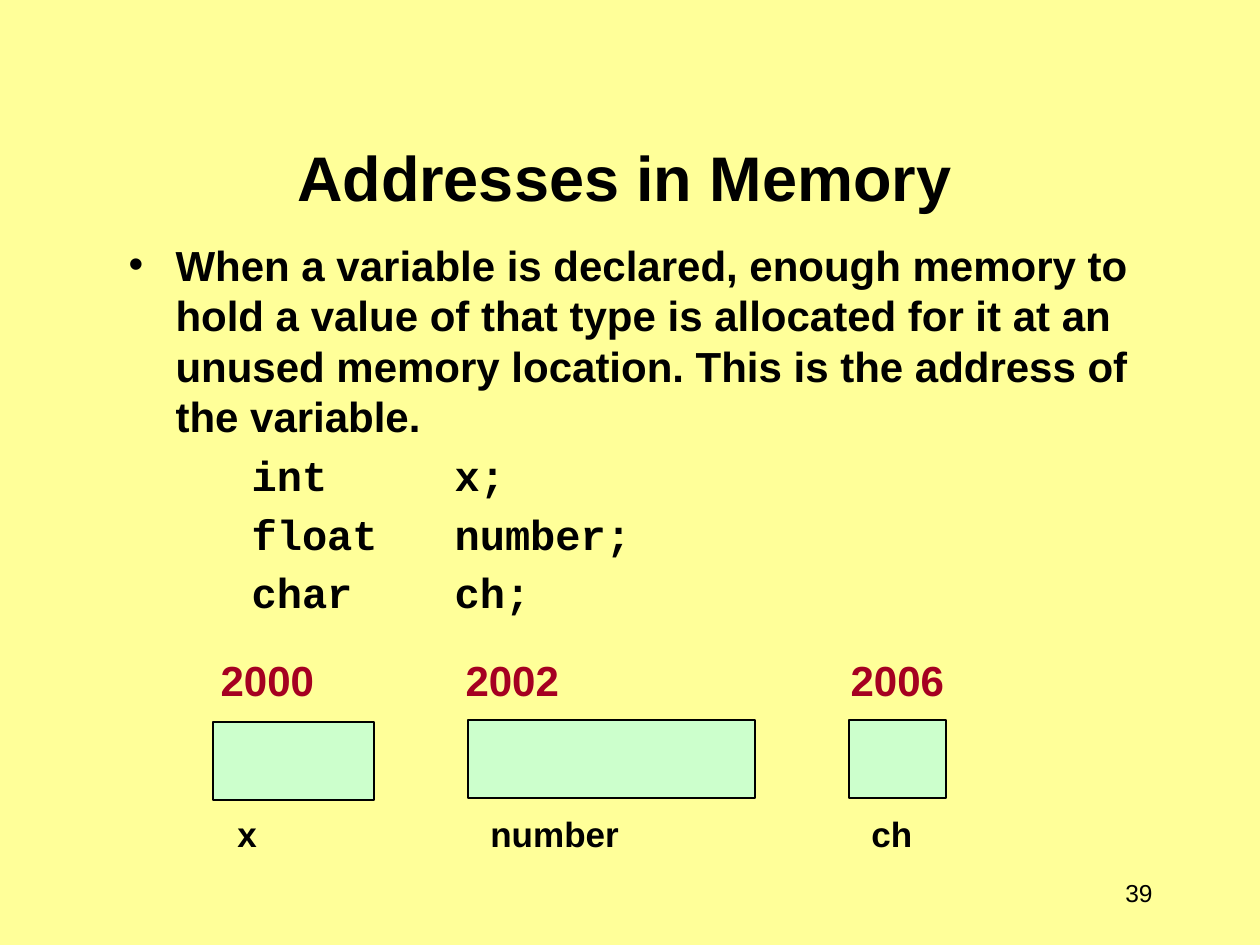
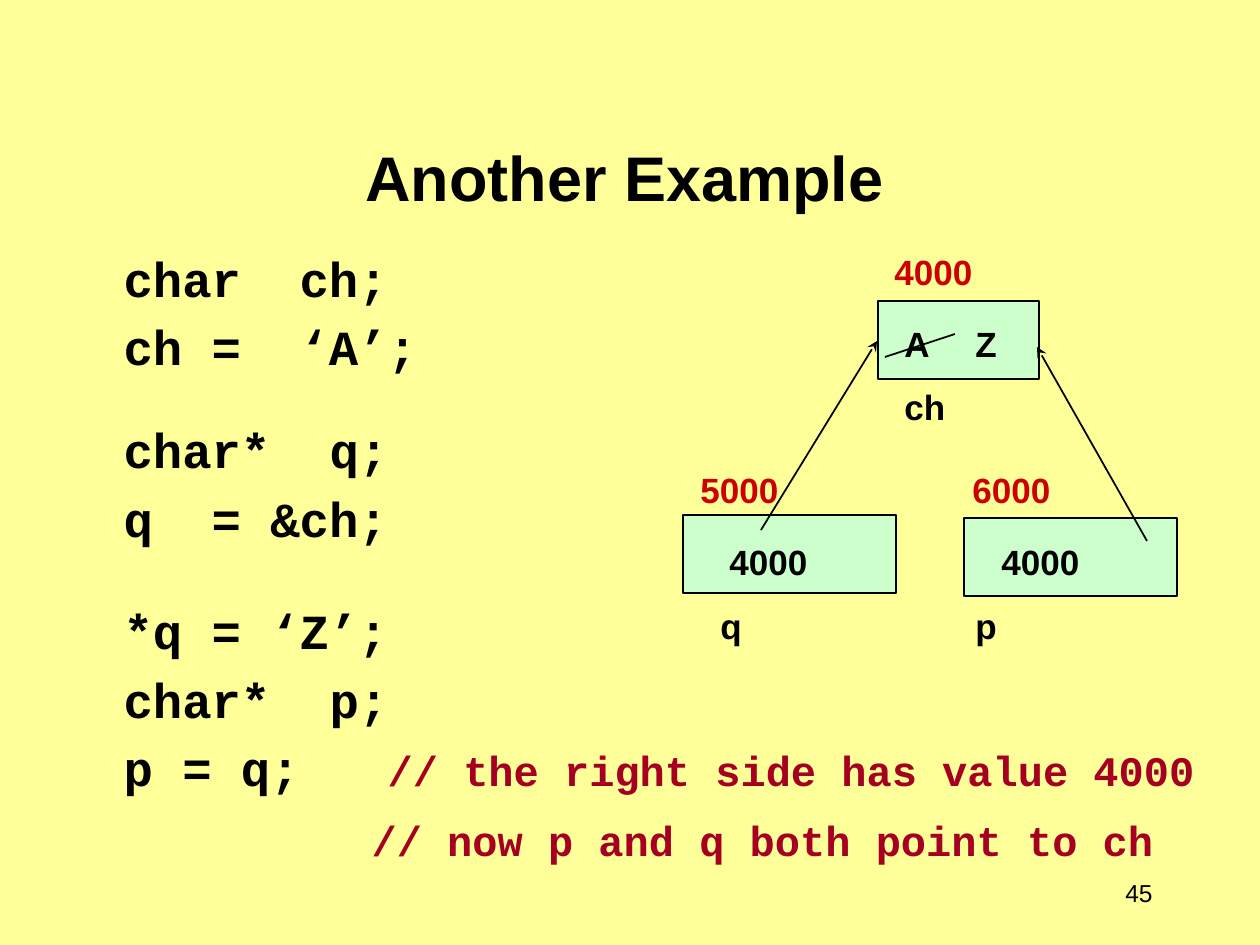
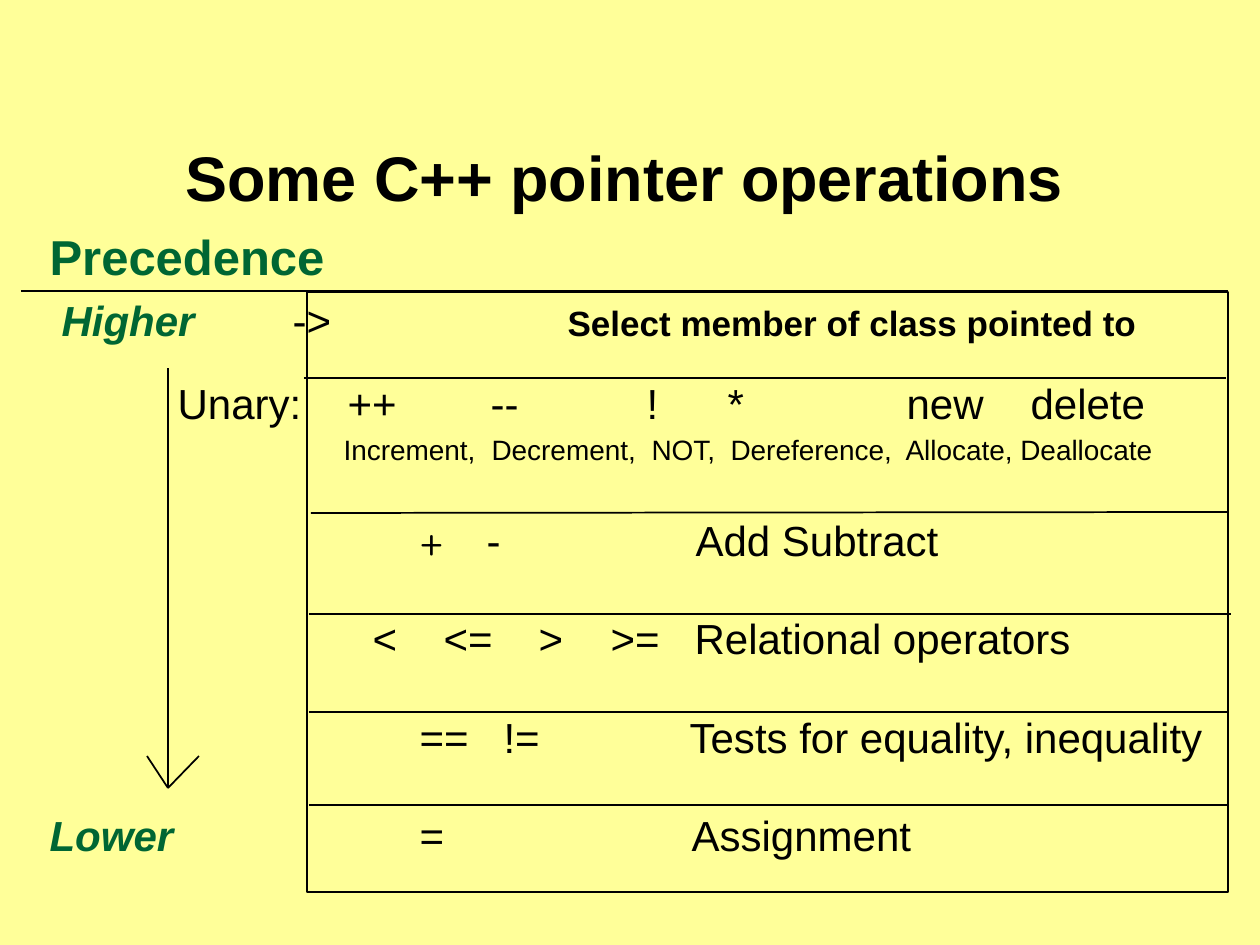
"""Build three slides on memory addresses and pointers."""
from dataclasses import dataclass
from typing import Optional

import pptx
import pptx.dml.color
import pptx.enum.shapes
import pptx.enum.text
import pptx.oxml
import pptx.oxml.ns
import pptx.util
from lxml import etree

SCALE = 914400 / 126  # EMU to one pixel
ANCHOR = pptx.enum.text.MSO_ANCHOR
ALIGN = pptx.enum.text.PP_ALIGN


@dataclass(frozen=True)
class Theme:
    """Colours, fonts and type sizes of the deck."""
    page: str = "FFFF99"
    ink: str = "000000"
    cell: str = "CCFFCC"
    wine: str = "A50021"
    red: str = "CC0000"
    green: str = "006633"
    sans: str = "Arial"
    mono: str = "Courier New"
    plus: str = "Quicksand"
    head: int = 36
    big: int = 28
    main: int = 24
    label: int = 20
    small: int = 16
    foot: int = 14
    pitch: float = 1.2
    rule: float = 1


THEME = Theme()


@dataclass(frozen=True)
class Box:
    """A frame in pixels."""
    left: int
    top: int
    width: int
    height: int


@dataclass(frozen=True)
class Run:
    """Text with what differs from its line."""
    text: str
    hue: Optional[str] = None
    size: Optional[int] = None
    face: Optional[str] = None
    bold: Optional[bool] = None
    slant: Optional[bool] = None


@dataclass(frozen=True)
class Line:
    """A paragraph: its runs, the gap above and its tab stops in pixels."""
    runs: tuple[Run, ...]
    gap: int = 0
    stops: tuple[int, ...] = ()
    size: int = THEME.main
    hue: str = THEME.ink
    face: str = THEME.sans
    bold: bool = True
    bullet: bool = False


@dataclass(frozen=True)
class Link:
    """A straight line in pixels."""
    ends: tuple[int, int, int, int]
    arrow: bool = False


def px(length: float) -> pptx.util.Emu:
    """Turn pixels into EMU."""
    return pptx.util.Emu(round(length * SCALE))


def say(text: str, **style) -> Line:
    """Make a line of one run."""
    return Line((Run(text),), **style)


def code(text: str, gap: int, *stops: int) -> Line:
    """Make a line of large code."""
    return say(text, gap=gap, stops=stops, size=THEME.big, face=THEME.mono)


def note(text: str, gap: int, *stops: int, hue: str = THEME.ink) -> Line:
    """Make a line of labels for a drawing."""
    return say(text, gap=gap, stops=stops, size=THEME.label, hue=hue)


def row(text: str, gap: int, *stops: int, size: int = THEME.main) -> Line:
    """Make a plain line of the operator list."""
    return say(text, gap=gap, stops=stops, size=size, bold=False)


def paint(font, hue=None, size=None, face=None, bold=None, slant=None) -> None:
    """Set those font traits that are given."""
    if hue is not None:
        font.color.rgb = pptx.dml.color.RGBColor.from_string(hue)
    if size is not None:
        font.size = pptx.util.Pt(size)
    if face is not None:
        font.name = face
    if bold is not None:
        font.bold = bold
    if slant is not None:
        font.italic = slant


def child(parent, tag: str, **attrs: str):
    """Append one XML element."""
    return etree.SubElement(parent, pptx.oxml.ns.qn(tag), attrs)


def place(shape, box: Box) -> None:
    """Move and size a shape."""
    shape.left, shape.top = px(box.left), px(box.top)
    shape.width, shape.height = px(box.width), px(box.height)


def write(frame, lines: tuple[Line, ...]) -> None:
    """Fill a text frame with lines."""
    frame.word_wrap = True
    frame.auto_size = pptx.enum.text.MSO_AUTO_SIZE.NONE
    frame.vertical_anchor = ANCHOR.TOP
    for index, line in enumerate(lines):
        para = frame.add_paragraph() if index else frame.paragraphs[0]
        para.line_spacing = pptx.util.Pt(line.size * THEME.pitch)
        para.space_before = px(line.gap)
        props = para._p.get_or_add_pPr()
        if line.bullet:
            props.set("marL", str(px(47)))
            props.set("indent", str(px(-47)))
            child(props, "a:buChar", char="•")
        else:
            child(props, "a:buNone")
        if line.stops:
            tabs = child(props, "a:tabLst")
            for stop in line.stops:
                child(tabs, "a:tab", pos=str(px(stop)), algn="l")
        paint(para.font, line.hue, line.size, line.face, line.bold)
        for part in line.runs:
            run = para.add_run()
            run.text = part.text
            paint(run.font, part.hue, part.size, part.face, part.bold, part.slant)


def start(deck, title: str, box: Box, lines: tuple[Line, ...], page: str = ""):
    """Add a slide with its title, body and page number."""
    slide = deck.slides.add_slide(deck.slide_layouts[1])
    head, body = slide.shapes.title, slide.placeholders[1]
    place(head, Box(84, 62, 1081, 158))
    frame = head.text_frame
    frame.text = title
    frame.auto_size = pptx.enum.text.MSO_AUTO_SIZE.NONE
    frame.vertical_anchor = ANCHOR.BOTTOM
    frame.paragraphs[0].alignment = ALIGN.CENTER
    paint(frame.paragraphs[0].font, THEME.ink, THEME.head, THEME.sans, True)
    place(body, box)
    write(body.text_frame, lines)
    if page:
        foot = label(slide, Box(1081, 861, 84, 63),
                     (say(page, size=THEME.foot, bold=False),))
        foot.word_wrap = False
        foot.vertical_anchor = ANCHOR.MIDDLE
        foot.paragraphs[0].alignment = ALIGN.RIGHT
    return slide


def label(slide, box: Box, lines: tuple[Line, ...]):
    """Add a text box and return its frame."""
    shape = slide.shapes.add_textbox(0, 0, 0, 0)
    place(shape, box)
    write(shape.text_frame, lines)
    return shape.text_frame


def ink(line) -> None:
    """Give an outline the deck's rule."""
    line.color.rgb = pptx.dml.color.RGBColor.from_string(THEME.ink)
    line.width = pptx.util.Pt(THEME.rule)


def cell(slide, box: Box, hue: Optional[str] = THEME.cell) -> None:
    """Draw a ruled rectangle, filled if it has a colour."""
    kind = pptx.enum.shapes.MSO_SHAPE.RECTANGLE
    shape = slide.shapes.add_shape(kind, 0, 0, 0, 0)
    place(shape, box)
    shape.shadow.inherit = False
    if hue:
        shape.fill.solid()
        shape.fill.fore_color.rgb = pptx.dml.color.RGBColor.from_string(hue)
    else:
        shape.fill.background()
    ink(shape.line)


def draw(slide, link: Link) -> None:
    """Draw a straight line, with an arrowhead if asked."""
    kind = pptx.enum.shapes.MSO_CONNECTOR.STRAIGHT
    shape = slide.shapes.add_connector(kind, *(px(end) for end in link.ends))
    ink(shape.line)
    props = shape.element.spPr
    if link.arrow:
        child(props.find(pptx.oxml.ns.qn("a:ln")), "a:tailEnd", type="stealth")
    child(props, "a:effectLst")


def memory(deck) -> None:
    """Build the slide on addresses."""
    stops = (123, 326)
    lines = (
        say("When a variable is declared, enough memory to hold a value of "
            "that type is allocated for it at an unused memory location. "
            "This is the address of the variable.", bullet=True),
        say("\tint\tx;", gap=9, stops=stops, face=THEME.mono),
        say("\tfloat\tnumber;", gap=8, stops=stops, face=THEME.mono),
        say("\tchar\tch;", gap=8, stops=stops, face=THEME.mono),
        say("\t2000\t2002\t2006", gap=37, stops=(92, 337, 722), hue=THEME.wine),
    )
    slide = start(deck, "Addresses in Memory", Box(116, 233, 1092, 659), lines, "39")
    for left, top, width in ((213, 722, 161), (468, 720, 287), (849, 720, 97)):
        cell(slide, Box(left, top, width, 78))
    label(slide, Box(215, 806, 742, 54),
          (note("\tx\tnumber\tch", 0, 10, 263, 644),))


def example(deck) -> None:
    """Build the slide with two pointers to one variable."""
    edge = 29
    lines = (
        code("\tchar\tch;", 10, edge, 205),
        code("\tch =\t‘A’;", 10, edge, 205),
        code("\tchar*\tq;", 44, edge, 235),
        code("\tq\t= &ch;", 10, edge, 117),
        code("\t*q = ‘Z’;", 53, edge),
        code("\tchar*\tp;", 10, edge, 235),
        Line((Run("\tp = q;\t"),
              Run("// the right side has value 4000", THEME.wine, THEME.main)),
             10, (edge, 293), THEME.big, face=THEME.mono),
        say("\t// now p and q both point to ch", gap=18, stops=(277,),
            hue=THEME.wine, face=THEME.mono),
    )
    slide = start(deck, "Another Example", Box(82, 242, 1139, 656), lines, "45")
    for left, top, width in ((964, 518, 213), (878, 301, 161), (683, 515, 213)):
        cell(slide, Box(left, top, width, 78))
    draw(slide, Link((761, 530, 877, 341), True))
    label(slide, Box(688, 244, 472, 450), (
        note("\t4000", 0, 194, hue=THEME.red),
        note("\tA\tZ", 30, 204, 275),
        note("\tch", 21, 204),
        note("5000\t6000", 41, 272, hue=THEME.red),
        note("\t4000\t4000", 30, 29, 301),
        note("\tq\tp", 22, 20, 275),
    ))
    draw(slide, Link((885, 357, 955, 334)))
    draw(slide, Link((1147, 541, 1037, 347), True))


def ranks(deck) -> None:
    """Build the slide on operator precedence."""
    lines = (
        say("Precedence", size=THEME.big, hue=THEME.green),
        Line((Run("\tHigher", THEME.green, bold=True, slant=True),
              Run("\t->\t"),
              Run("Select member of class pointed to", size=THEME.label, bold=True)),
             9, (12, 243, 518), bold=False),
        row("\tUnary:\t++\t--\t!\t*\tnew\tdelete", 33,
            128, 298, 441, 597, 678, 857, 981),
        row("\tIncrement,\tDecrement,\tNOT,\tDereference,\tAllocate, Deallocate",
            5, 294, 442, 602, 681, 856, size=THEME.small),
        Line((Run("\t"), Run("+", face=THEME.plus), Run("\t-\tAdd Subtract")),
             48, (370, 437, 646), bold=False),
        row("\t<\t<=\t>\t>=\tRelational operators", 48, 323, 394, 489, 561, 645),
        row("\t==\t!=\tTests for equality, inequality", 48, 370, 454, 640),
        Line((Run("Lower", THEME.green, bold=True, slant=True),
              Run("\t=\tAssignment")), 48, (370, 642), bold=False),
    )
    slide = start(deck, "Some C++ pointer operations", Box(37, 220, 1192, 683), lines)
    tip = (168, 788)
    for far in ((168, 368), (199, 756), (147, 756)):
        draw(slide, Link(tip + far))
    for ends in ((21, 291, 1228, 291), (304, 378, 1226, 378),
                 (311, 513, 1228, 512), (309, 614, 1231, 614),
                 (309, 712, 1228, 712), (309, 805, 1228, 805)):
        draw(slide, Link(ends))
    cell(slide, Box(307, 292, 921, 600), None)


def setup(deck) -> None:
    """Set the page size, background and a flush body style."""
    deck.slide_width, deck.slide_height = px(1260), px(945)
    master = deck.slide_master
    fill = master.background.fill
    fill.solid()
    fill.fore_color.rgb = pptx.dml.color.RGBColor.from_string(THEME.page)
    # An inherited indent would cancel the tab stops of the body lines.
    style = next(master.element.iter(pptx.oxml.ns.qn("p:bodyStyle")))
    level = style.find(pptx.oxml.ns.qn("a:lvl1pPr"))
    level.set("marL", "0")
    level.attrib.pop("indent", None)


def main() -> None:
    """Build and save the deck."""
    deck = pptx.Presentation()
    setup(deck)
    for build in (memory, example, ranks):
        build(deck)
    deck.save("out.pptx")


main()
